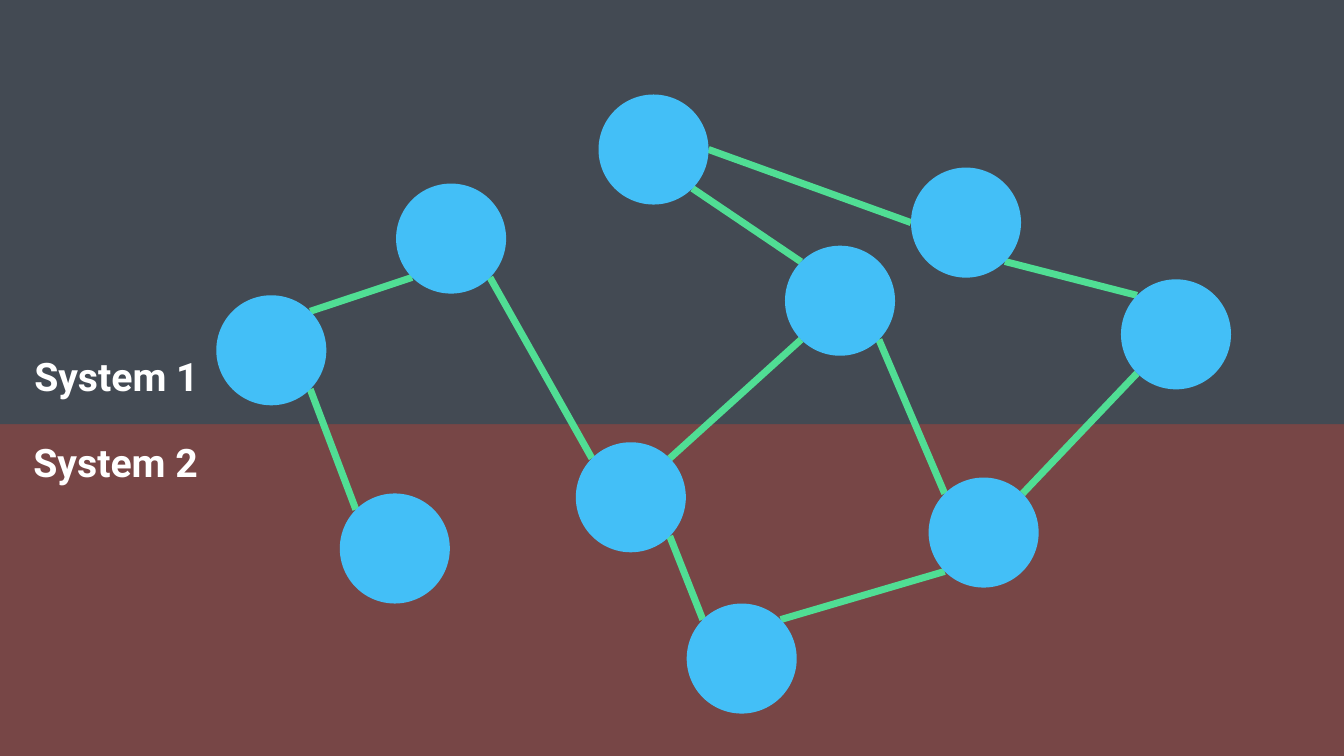
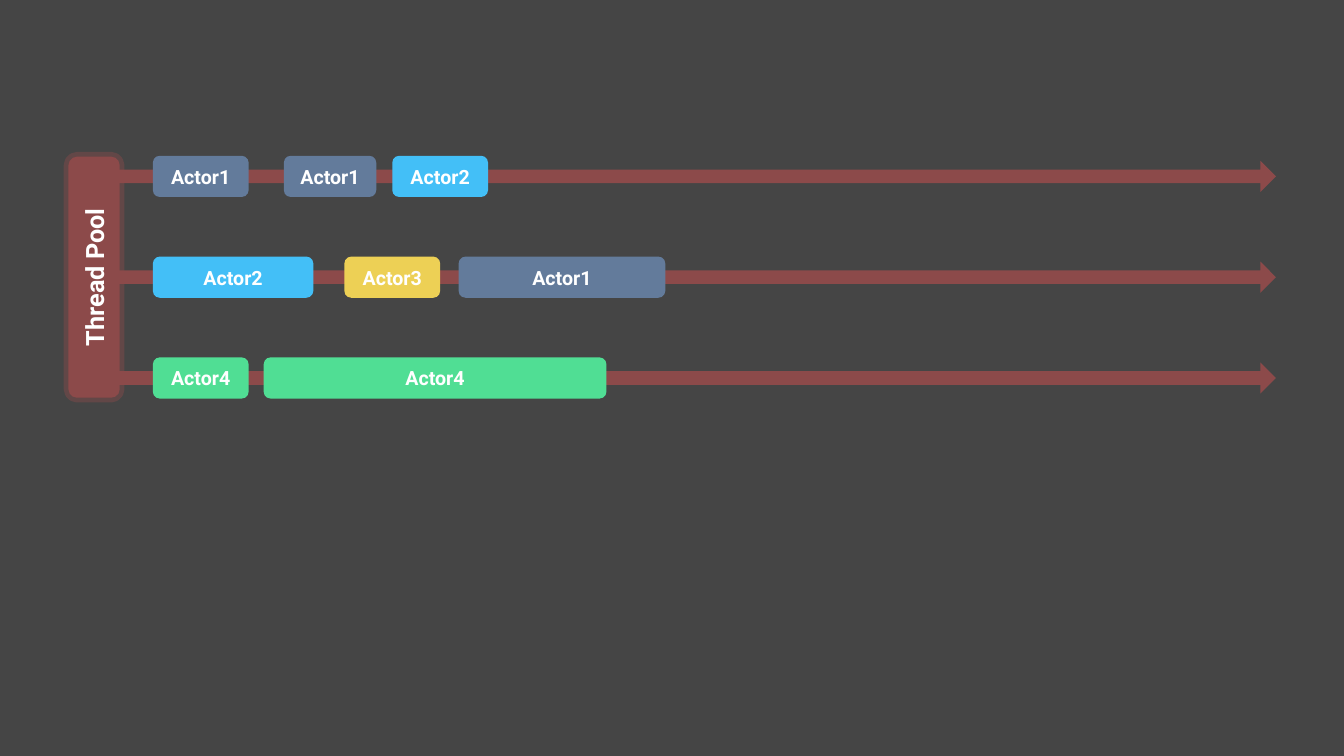
import math
from dataclasses import dataclass

import pptx
import pptx.dml.color
import pptx.enum.shapes
import pptx.enum.text
import pptx.oxml
import pptx.oxml.ns
import pptx.util

SHAPE = pptx.enum.shapes.MSO_SHAPE
COLS = 160


@dataclass(frozen=True)
class Theme:
    font: str = "Roboto"
    white: str = "FFFFFF"
    slate: str = "434A53"
    wine: str = "774646"
    coal: str = "454545"
    brick: str = "8C4A4A"
    steel: str = "637B9B"
    blue: str = "43BFF7"
    gold: str = "EDD055"
    green: str = "50DE94"
    small: float = 14
    medium: float = 18
    large: float = 28
    edge: float = 5
    rim: float = 6.75


def element(tag):
    return pptx.oxml.parse_xml(f'<a:{tag} {pptx.oxml.ns.nsdecls("a")}/>')


class Deck:
    def __init__(self, theme):
        self.theme = theme
        self.show = pptx.Presentation()
        self.show.slide_width = pptx.util.Inches(13.333)
        self.show.slide_height = pptx.util.Inches(7.5)
        self.cell = self.show.slide_width / COLS
        self.slide = None

    def grid(self, *cells):
        return [pptx.util.Emu(round(c * self.cell)) for c in cells]

    def paint(self, fill, color):
        fill.solid()
        fill.fore_color.rgb = pptx.dml.color.RGBColor.from_string(color)

    def page(self, color):
        self.slide = self.show.slides.add_slide(self.show.slide_layouts[6])
        self.paint(self.slide.background.fill, color)

    def letter(self, shape, text, size):
        shape.text_frame.text = text
        font = shape.text_frame.paragraphs[0].runs[0].font
        font.name, font.size, font.bold = self.theme.font, pptx.util.Pt(size), True
        self.paint(font.fill, self.theme.white)

    def shape(self, kind, x, y, w, h, color):
        item = self.slide.shapes.add_shape(kind, *self.grid(x, y, w, h))
        item.shadow.inherit = False
        self.paint(item.fill, color)
        item.line.fill.background()
        return item

    def outline(self, item, join):
        self.paint(item.line.fill, self.theme.brick)
        item.line.width = pptx.util.Pt(self.theme.rim)
        line = item._element.spPr.find(pptx.oxml.ns.qn("a:ln"))
        line.append(element(join))
        return line

    def node(self, x, y, size):
        self.shape(SHAPE.OVAL, x - size / 2, y - size / 2, size, size, self.theme.blue)

    def edge(self, start, end):
        line = self.slide.shapes.add_connector(
            pptx.enum.shapes.MSO_CONNECTOR.STRAIGHT, *self.grid(*start, *end))
        self.paint(line.line.fill, self.theme.green)
        line.line.width = pptx.util.Pt(self.theme.edge)
        line._element.spPr.append(element("effectLst"))

    def label(self, text, x, y, w, h):
        box = self.slide.shapes.add_textbox(*self.grid(x, y, w, h))
        box.text_frame.word_wrap = False
        box.text_frame.auto_size = pptx.enum.text.MSO_AUTO_SIZE.SHAPE_TO_FIT_TEXT
        self.letter(box, text, self.theme.large)

    def block(self, text, x, mid, w, h, color, size):
        item = self.shape(SHAPE.ROUNDED_RECTANGLE, x, mid - h / 2, w, h, color)
        item.text_frame.vertical_anchor = pptx.enum.text.MSO_ANCHOR.MIDDLE
        self.letter(item, text, size)
        item.text_frame.paragraphs[0].alignment = pptx.enum.text.PP_ALIGN.CENTER
        return item

    def lane(self, x, mid, w, h):
        arrow = self.shape(SHAPE.RIGHT_ARROW, x, mid - h / 2, w, h, self.theme.brick)
        self.outline(arrow, 'miter lim="800000"'.split()[0]).find(
            pptx.oxml.ns.qn("a:miter")).set("lim", "800000")

    def pool(self, text, x, mid, w, h):
        item = self.block(text, x - w / 2, mid, w, h, self.theme.brick, self.theme.medium)
        item.rotation = 270
        line = self.outline(item, "round")
        alpha = element("alpha")
        alpha.set("val", "41000")
        line.find(".//" + pptx.oxml.ns.qn("a:srgbClr")).append(alpha)


NODES = {
    "A": (32.3, 41.7), "B": (53.7, 28.4), "C": (47, 65.3), "D": (75.1, 59.2),
    "E": (88.3, 78.4), "F": (100, 35.8), "G": (77.8, 17.8), "H": (115, 26.5),
    "I": (117.1, 63.4), "J": (140, 39.8),
}
ANGLES = {"E": 0, "SE": 45, "SW": 135, "W": 180, "NW": 225, "NE": 315}
EDGES = [
    ("A", "NE", "B", "SW"), ("B", "SE", "D", "NW"), ("A", "SE", "C", "NW"),
    ("D", "NE", "F", "SW"), ("F", "SE", "I", "NW"), ("I", "NE", "J", "SW"),
    ("J", "NW", "H", "SE"), ("G", "SE", "F", "NW"), ("G", "E", "H", "W"),
    ("D", "SE", "E", "NW"), ("E", "NE", "I", "SW"),
]


def rim(name, side, size):
    x, y = NODES[name]
    turn = math.radians(ANGLES[side])
    return x + size / 2 * math.cos(turn), y + size / 2 * math.sin(turn)


def systems(deck):
    theme, size = deck.theme, 13.1
    deck.page(theme.wine)
    deck.shape(SHAPE.RECTANGLE, 0, 0, COLS, 50.5, theme.slate)
    for start, out, end, into in EDGES:
        deck.edge(rim(start, out, size), rim(end, into, size))
    for x, y in NODES.values():
        deck.node(x, y, size)
    deck.label("System 1", 2.9, 41.3, 22.2, 6.8)
    deck.label("System 2", 2.8, 51.6, 22.2, 6.8)


def threads(deck):
    theme = deck.theme
    tints = {"Actor1": theme.steel, "Actor2": theme.blue,
             "Actor3": theme.gold, "Actor4": theme.green}
    lanes = [
        [("Actor1", 18.2, 11.4), ("Actor1", 33.8, 11), ("Actor2", 46.7, 11.4)],
        [("Actor2", 18.2, 19.1), ("Actor3", 41, 11.4), ("Actor1", 54.6, 24.6)],
        [("Actor4", 18.2, 11.4), ("Actor4", 31.4, 40.8)],
    ]
    top, step = 21, 12
    deck.page(theme.coal)
    for row, tasks in enumerate(lanes):
        mid = top + row * step
        deck.lane(14.3, mid, 136.8, 1)
        for name, x, w in tasks:
            deck.block(name, x, mid, w, 4.9, tints[name], theme.small)
    deck.pool("Thread Pool", 11.2, top + step, 28.7, 6.1)


def main():
    deck = Deck(Theme())
    systems(deck)
    threads(deck)
    deck.show.save("out.pptx")


if __name__ == "__main__":
    main()
